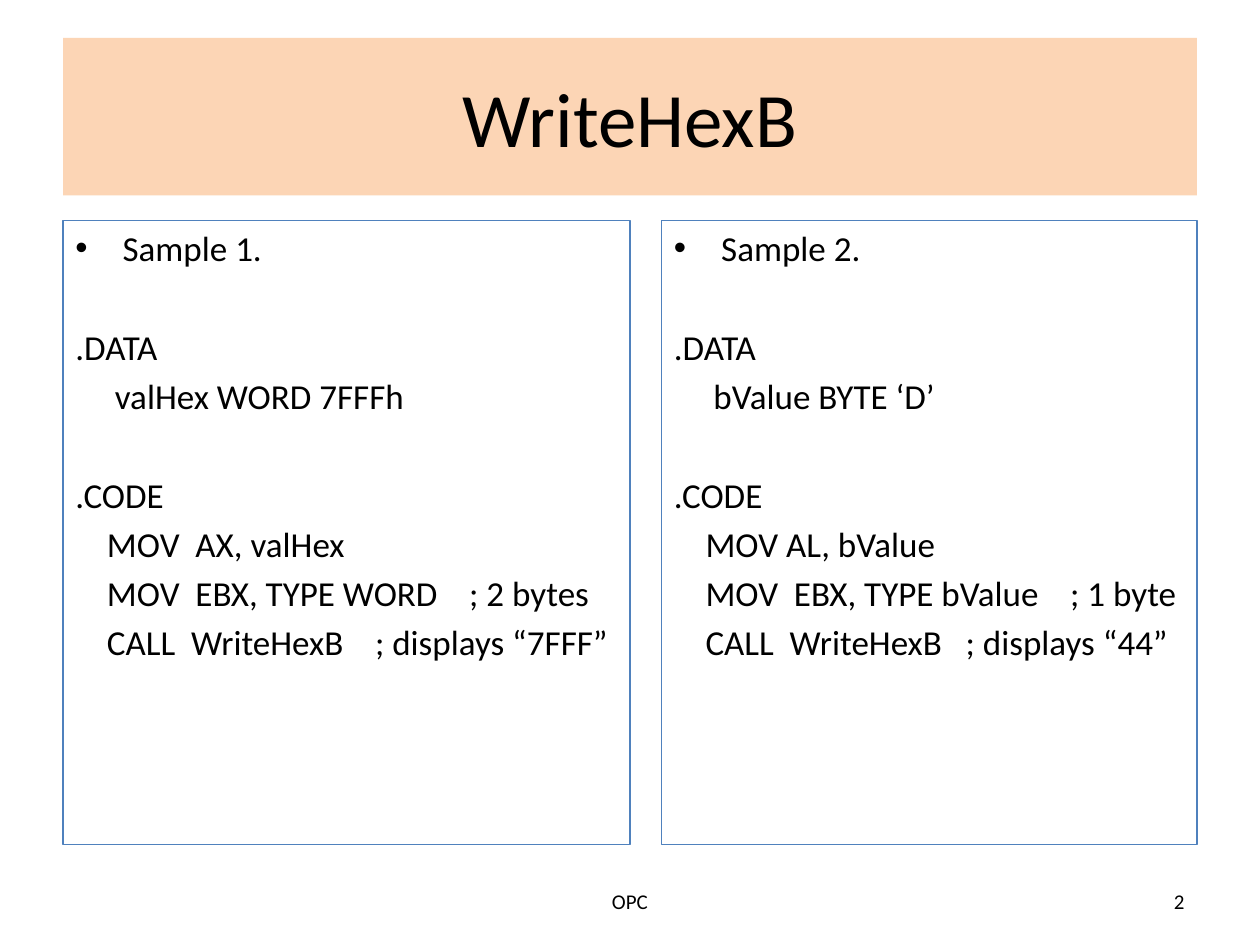
from dataclasses import dataclass

from lxml import etree
from pptx import Presentation
from pptx.dml.color import RGBColor
from pptx.enum import shapes, text
from pptx.oxml import ns
from pptx.util import Pt


@dataclass(frozen=True)
class Theme:
    """Colours, font and type sizes of the deck."""
    ink: RGBColor = RGBColor(0, 0, 0)
    banner: RGBColor = RGBColor(0xFC, 0xD5, 0xB5)
    border: RGBColor = RGBColor(0x4F, 0x81, 0xBD)
    font: str = "Calibri"
    title: int = 44
    body: int = 20
    small: int = 12


THEME = Theme()
MARGIN, WIDTH = 36, 648
LINE_GAP, SECTION_GAP = 4, 32.4
SAMPLES = (
    ((MARGIN, 126, 324, 356.4), "Sample 1.", (
        (".DATA", "     valHex WORD 7FFFh"),
        (".CODE", "    MOV  AX, valHex", "    MOV  EBX, TYPE WORD    ; 2 bytes",
         "    CALL  WriteHexB    ; displays “7FFF”"))),
    ((378, 126, 306, 356.4), "Sample 2.", (
        (".DATA", "     bValue BYTE ‘D’"),
        (".CODE", "    MOV AL, bValue", "    MOV  EBX, TYPE bValue    ; 1 byte",
         "    CALL  WriteHexB   ; displays “44”"))),
)


def apply_format(target, values):
    """Set every attribute in values on target."""
    for name, value in values.items():
        setattr(target, name, value)


def write_para(para, words, size, align, before=0):
    """Fill one paragraph with formatted words."""
    span = para.add_run()
    span.text = words
    apply_format(para, {"alignment": align, "space_before": Pt(before)})
    apply_format(span.font, {"size": Pt(size), "name": THEME.font})
    span.font.color.rgb = THEME.ink


def add_bullet(para, indent):
    """Give a paragraph a round bullet with a hanging indent."""
    properties = para._p.get_or_add_pPr()
    properties.set("marL", str(Pt(indent)))
    properties.set("indent", str(Pt(-indent)))
    etree.SubElement(properties, ns.qn("a:buFont")).set("typeface", "Arial")
    etree.SubElement(properties, ns.qn("a:buChar")).set("char", "•")


def place_title(page, area, words):
    """Set the title in its filled banner."""
    box = page.shapes.title
    apply_format(box, dict(zip(("left", "top", "width", "height"), map(Pt, area))))
    box.fill.solid()
    box.fill.fore_color.rgb = THEME.banner
    box.text_frame.vertical_anchor = text.MSO_ANCHOR.MIDDLE
    write_para(box.text_frame.paragraphs[0], words, THEME.title, text.PP_ALIGN.CENTER)


def place_sample(page, area, heading, sections):
    """Draw a bordered panel with a heading and its code sections."""
    box = page.shapes.add_shape(shapes.MSO_SHAPE.RECTANGLE, *map(Pt, area))
    box.shadow.inherit = False
    box.fill.background()
    box.line.color.rgb = THEME.border
    box.line.width = Pt(0.75)
    frame = box.text_frame
    apply_format(frame, {"word_wrap": True, "vertical_anchor": text.MSO_ANCHOR.TOP})
    add_bullet(frame.paragraphs[0], 27)
    write_para(frame.paragraphs[0], heading, THEME.body, text.PP_ALIGN.LEFT)
    for section in sections:
        for index, line in enumerate(section):
            before = LINE_GAP if index else SECTION_GAP
            write_para(frame.add_paragraph(), line, THEME.body, text.PP_ALIGN.LEFT, before)


def place_footer(page, area, words, align):
    """Add one small footer text."""
    frame = page.shapes.add_textbox(*map(Pt, area)).text_frame
    apply_format(frame, {"word_wrap": True, "vertical_anchor": text.MSO_ANCHOR.MIDDLE})
    write_para(frame.paragraphs[0], words, THEME.small, align)


def main():
    """Build and save the deck."""
    deck = Presentation()
    apply_format(deck, {"slide_width": Pt(720), "slide_height": Pt(540)})
    page = deck.slides.add_slide(deck.slide_layouts[5])
    place_title(page, (MARGIN, 21.6, WIDTH, 90), "WriteHexB")
    for sample in SAMPLES:
        place_sample(page, *sample)
    place_footer(page, (246, 500.5, 228, 28.75), "OPC", text.PP_ALIGN.CENTER)
    place_footer(page, (516, 500.5, 168, 28.75), "2", text.PP_ALIGN.RIGHT)
    deck.save("out.pptx")


if __name__ == "__main__":
    main()
